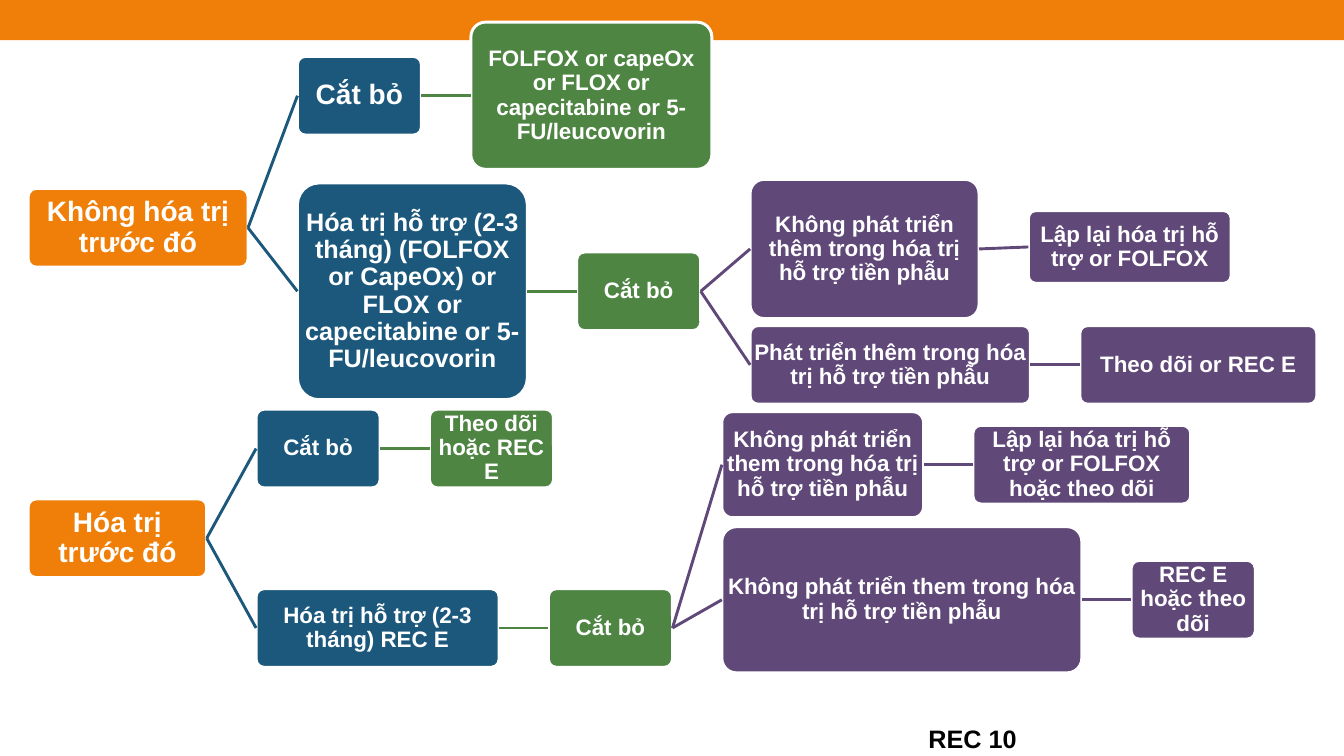
"""Build the treatment decision tree slide for REC 10."""
import pptx
import pptx.dml.color
import pptx.enum.shapes
import pptx.enum.text
import pptx.oxml
import pptx.util

Inches = pptx.util.Inches
SHAPES = pptx.enum.shapes.MSO_SHAPE
ALIGN = pptx.enum.text.PP_ALIGN
ANCHOR = pptx.enum.text.MSO_ANCHOR

THEME = {
    "levels": ["F07F09", "1B587C", "4E8542", "604878", "604878"],
    "bar": "F07F09", "light": "FFFFFF", "dark": "000000",
    "font": "Arial", "large": 20, "medium": 18, "small": 16, "line": 2.08,
}
GAP = 0.49
ROOT_LEFT = 0.28
BAR = (0, 0, 13.33, 0.4)
FOOTER = ("REC 10", (9.11, 7.13, 2.08, 0.4))

# text, type size, middle, width, height, children
TREES = [
    ("Không hóa trị trước đó", "large", 2.26, 2.18, 0.78, [
        ("Cắt bỏ", "large", 0.95, 1.23, 0.78, [
            ("FOLFOX or capeOx or FLOX or capecitabine or 5-FU/leucovorin",
             "small", 0.95, 2.39, 1.46, []),
        ]),
        ("Hóa trị hỗ trợ (2-3 tháng) (FOLFOX or CapeOx) or FLOX or capecitabine or 5-FU/leucovorin",
         "medium", 2.89, 2.28, 2.15, [
             ("Cắt bỏ", "small", 2.89, 1.23, 0.78, [
                 ("Không phát triển thêm trong hóa trị hỗ trợ tiền phẫu",
                  "small", 2.47, 2.27, 1.38, [
                      ("Lập lại hóa trị hỗ trợ or FOLFOX", "small", 2.45, 2.01, 0.72, []),
                  ]),
                 ("Phát triển thêm trong hóa trị hỗ trợ tiền phẫu",
                  "small", 3.62, 2.78, 0.78, [
                      ("Theo dõi or REC E", "small", 3.62, 2.35, 0.78, []),
                  ]),
             ]),
         ]),
    ]),
    ("Hóa trị trước đó", "large", 5.34, 1.77, 0.78, [
        ("Cắt bỏ", "small", 4.45, 1.23, 0.78, [
            ("Theo dõi hoặc REC E", "small", 4.45, 1.23, 0.78, []),
        ]),
        ("Hóa trị hỗ trợ (2-3 tháng) REC E", "small", 6.23, 2.41, 0.78, [
            ("Cắt bỏ", "small", 6.23, 1.23, 0.78, [
                ("Không phát triển them trong hóa trị hỗ trợ tiền phẫu",
                 "small", 4.61, 2, 1.05, [
                     ("Lập lại hóa trị hỗ trợ or FOLFOX hoặc theo dõi",
                      "small", 4.61, 2.16, 0.78, []),
                 ]),
                ("Không phát triển them trong hóa trị hỗ trợ tiền phẫu",
                 "small", 5.95, 3.57, 1.45, [
                     ("REC E hoặc theo dõi", "small", 5.95, 1.23, 0.78, []),
                 ]),
            ]),
        ]),
    ]),
]


def color(value):
    return pptx.dml.color.RGBColor.from_string(value)


def apply(target, values):
    for name, value in values.items():
        setattr(target, name, value)


def write(box, text, size, ink, frame_format, para_format):
    apply(box.text_frame, frame_format)
    para = box.text_frame.paragraphs[0]
    apply(para, para_format)
    span = para.add_run()
    span.text = text
    apply(span.font, {"name": THEME["font"], "size": pptx.util.Pt(THEME[size]), "bold": True})
    span.font.color.rgb = color(THEME[ink])


def add_box(page, kind, place, fill):
    box = page.shapes.add_shape(kind, *map(Inches, place))
    box.shadow.inherit = False
    box.fill.solid()
    box.fill.fore_color.rgb = color(fill)
    box.line.fill.background()
    return box


def add_link(page, parent, child, ink):
    link = page.shapes.add_connector(pptx.enum.shapes.MSO_CONNECTOR.STRAIGHT, 0, 0, 0, 0)
    link.begin_connect(parent, 3)
    link.end_connect(child, 1)
    link.line.color.rgb = color(ink)
    link.line.width = pptx.util.Pt(THEME["line"])
    properties = link._element.spPr
    properties.append(pptx.oxml.parse_xml(
        '<a:effectLst xmlns:a="http://schemas.openxmlformats.org/drawingml/2006/main"/>'))


def add_branch(page, node, left, level=0, parent=None):
    text, size, middle, width, height, children = node
    fill = THEME["levels"][level]
    place = (left, middle - height / 2, width, height)
    box = add_box(page, SHAPES.ROUNDED_RECTANGLE, place, fill)
    box.adjustments[0] = 0.1
    box.line.color.rgb = color(THEME["light"])
    box.line.width = pptx.util.Pt(THEME["line"])
    inset = Inches(0.01)
    write(box, text, size, "light",
          {"word_wrap": True, "vertical_anchor": ANCHOR.MIDDLE, "margin_left": inset,
           "margin_right": inset, "margin_top": inset, "margin_bottom": inset},
          {"alignment": ALIGN.CENTER, "line_spacing": 0.9})
    if parent is not None:
        add_link(page, parent, box, fill)
    for child in children:
        add_branch(page, child, left + width + GAP, level + 1, box)


def main():
    deck = pptx.Presentation()
    apply(deck, {"slide_width": Inches(13.33), "slide_height": Inches(7.5)})
    page = deck.slides.add_slide(deck.slide_layouts[6])
    add_box(page, SHAPES.RECTANGLE, BAR, THEME["bar"])
    for tree in TREES:
        add_branch(page, tree, ROOT_LEFT)
    text, place = FOOTER
    footer = page.shapes.add_textbox(*map(Inches, place))
    write(footer, text, "medium", "dark", {"word_wrap": True}, {"alignment": ALIGN.LEFT})
    deck.save("out.pptx")


if __name__ == "__main__":
    main()
